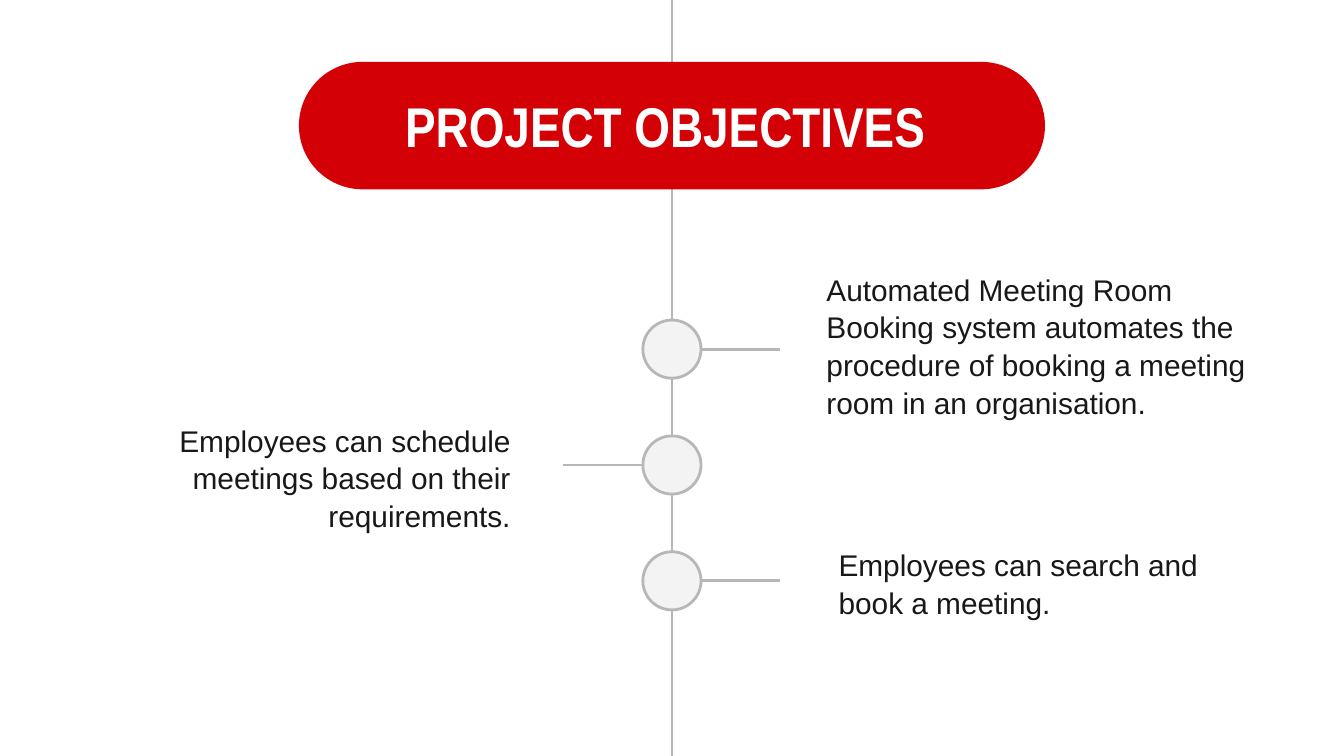
import pptx
import pptx.util
import pptx.dml.color
import pptx.enum.shapes
import pptx.enum.text
import pptx.oxml
from dataclasses import dataclass

Cm, Pt = pptx.util.Cm, pptx.util.Pt
RGB = pptx.dml.color.RGBColor.from_string
SHAPE = pptx.enum.shapes.MSO_SHAPE
ALIGN = pptx.enum.text.PP_ALIGN
ANCHOR = pptx.enum.text.MSO_ANCHOR


@dataclass(frozen=True)
class Theme:
    accent: str = "D30005"
    line: str = "B7B7B7"
    node: str = "F3F3F3"
    title: str = "FFFFFF"
    body: str = "181818"
    title_font: str = "Arial Narrow"
    body_font: str = "Arial"
    title_size: int = 30
    body_size: int = 16
    line_width: float = 1.5


THEME = Theme()

TITLE = "PROJECT OBJECTIVES"
# Side of the timeline, text box (left, top, width, height in cm), paragraphs
OBJECTIVES = [
    ("right", (15.37, 4.85, 9.04, 3.51),
     ["Automated Meeting Room Booking system automates the procedure "
      "of booking a meeting room in an organisation."]),
    ("left", (2.18, 7.7, 7.72, 2.18),
     ["Employees can schedule meetings based on their requirements."]),
    ("right", (15.6, 10.06, 7.62, 1.83),
     ["Employees can search and", "book a meeting."]),
]

SLIDE_W, SLIDE_H = 25.4, 14.29
AXIS_X = SLIDE_W / 2
OVERHANG = 0.25
PILL_TOP, PILL_W, PILL_H = 1.17, 14.1, 2.41
TITLE_BOX = (7.09, 1.24, 10.97, 2.24)
NODE_D, FIRST_NODE_Y, NODE_STEP = 1.1, 6.6, 2.19
STUB = 1.5
INSET = 0.25


def add_line(s, x1, y1, x2, y2):
    line = s.shapes.add_connector(
        pptx.enum.shapes.MSO_CONNECTOR.STRAIGHT, Cm(x1), Cm(y1), Cm(x2), Cm(y2))
    line.line.color.rgb = RGB(THEME.line)
    line.line.width = Pt(THEME.line_width)
    line._element.spPr.append(pptx.oxml.parse_xml(
        '<a:effectLst xmlns:a="http://schemas.openxmlformats.org/drawingml/2006/main"/>'))


def add_filled(s, kind, box, fill, outline=None):
    sp = s.shapes.add_shape(kind, *map(Cm, box))
    sp.shadow.inherit = False
    sp.fill.solid()
    sp.fill.fore_color.rgb = RGB(fill)
    if outline:
        sp.line.color.rgb = RGB(outline)
        sp.line.width = Pt(THEME.line_width)
    else:
        sp.line.fill.background()
    return sp


def add_text(s, box, paragraphs, align, font, size, color,
             bold=False, anchor=ANCHOR.TOP, spacing=1.0):
    tf = s.shapes.add_textbox(*map(Cm, box)).text_frame
    tf.word_wrap = True
    tf.vertical_anchor = anchor
    tf.margin_left = tf.margin_right = tf.margin_top = tf.margin_bottom = Cm(INSET)
    tf.text = "\n".join(paragraphs)
    for p in tf.paragraphs:
        p.alignment = align
        p.line_spacing = spacing
        p.font.name = font
        p.font.size = Pt(size)
        p.font.bold = bold
        p.font.color.rgb = RGB(color)


def add_objective(s, y, side, box, paragraphs):
    """Add a timeline node centred at height y, its stub and its text."""
    r = NODE_D / 2
    add_filled(s, SHAPE.OVAL, (AXIS_X - r, y - r, NODE_D, NODE_D),
               THEME.node, THEME.line)
    if side == "right":
        start, align = AXIS_X + r, ALIGN.LEFT
    else:
        start, align = AXIS_X - r - STUB, ALIGN.RIGHT
    add_line(s, start, y, start + STUB, y)
    add_text(s, box, paragraphs, align, THEME.body_font, THEME.body_size,
             THEME.body, spacing=1.05)


def main():
    prs = pptx.Presentation()
    prs.slide_width, prs.slide_height = Cm(SLIDE_W), Cm(SLIDE_H)
    s = prs.slides.add_slide(prs.slide_layouts[6])

    add_line(s, AXIS_X, -OVERHANG, AXIS_X, SLIDE_H + OVERHANG)
    pill = add_filled(s, SHAPE.ROUNDED_RECTANGLE,
                      (AXIS_X - PILL_W / 2, PILL_TOP, PILL_W, PILL_H), THEME.accent)
    pill.adjustments[0] = 0.5
    add_text(s, TITLE_BOX, [TITLE], ALIGN.CENTER, THEME.title_font,
             THEME.title_size, THEME.title, bold=True, anchor=ANCHOR.MIDDLE)

    for i, objective in enumerate(OBJECTIVES):
        add_objective(s, FIRST_NODE_Y + i * NODE_STEP, *objective)

    prs.save("out.pptx")


if __name__ == "__main__":
    main()
